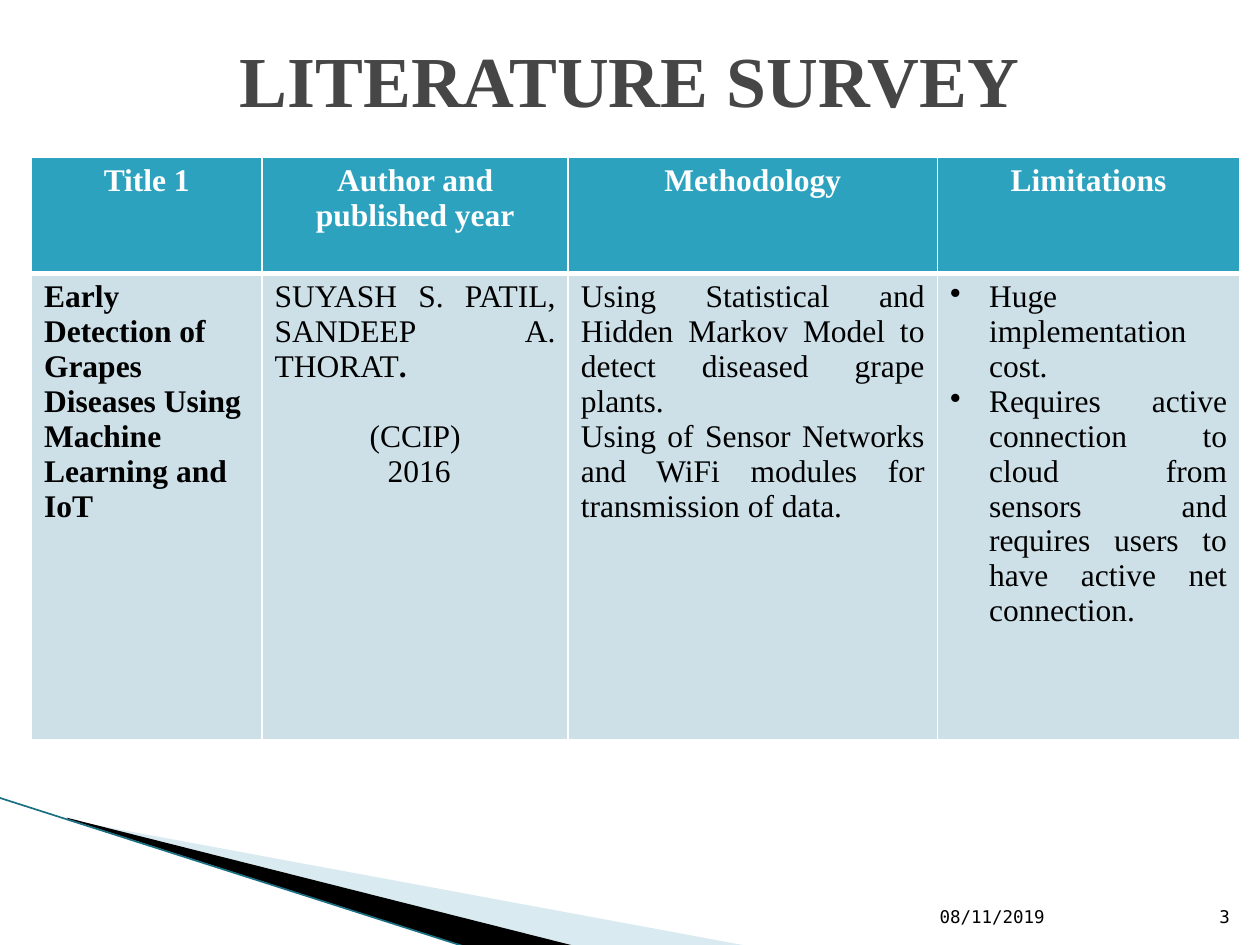
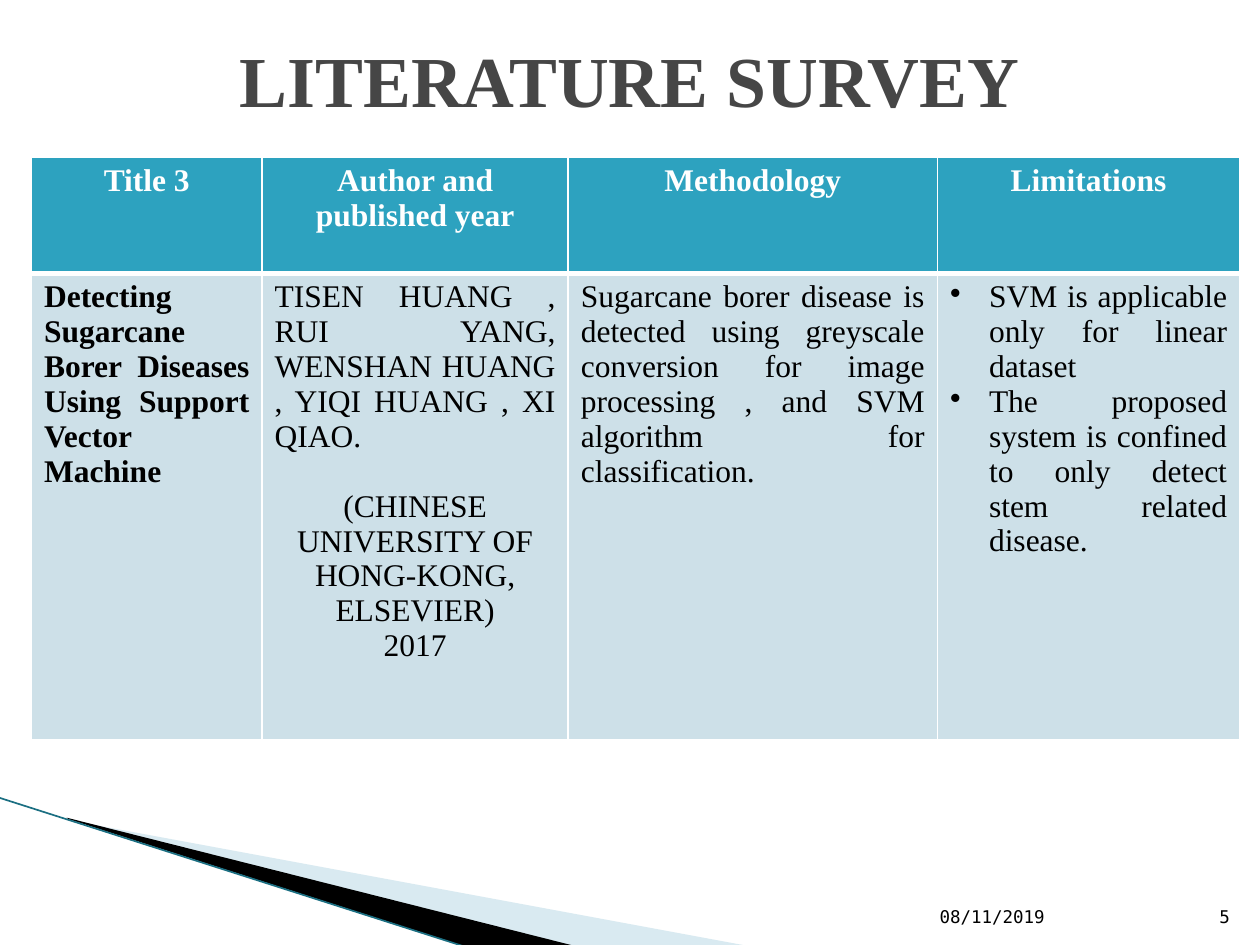
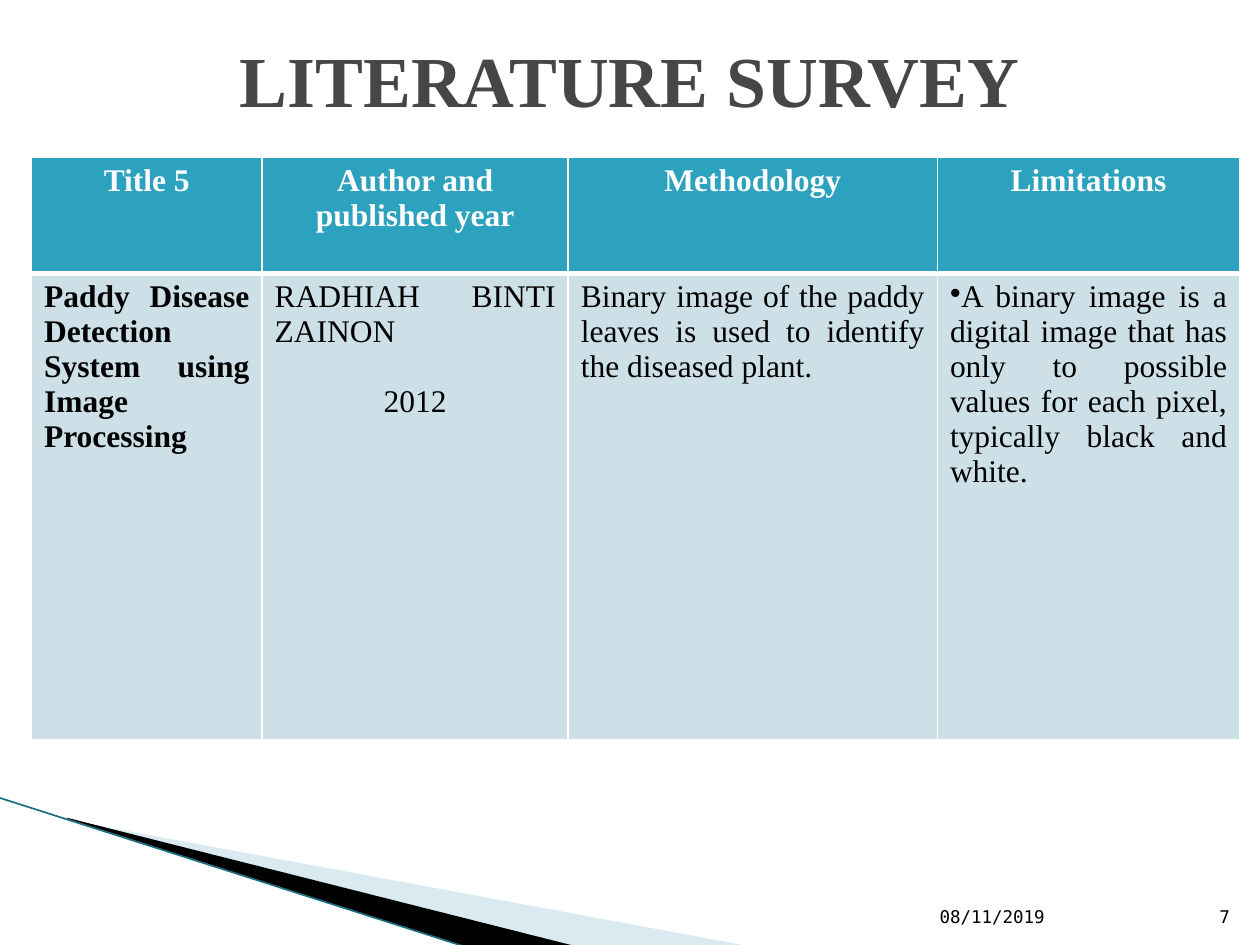
import pptx
import pptx.dml.color
import pptx.enum.shapes
import pptx.enum.text
import pptx.oxml.ns
import pptx.util
from lxml import etree

Inches, Pt = pptx.util.Inches, pptx.util.Pt
ALIGN = pptx.enum.text.PP_ALIGN
ANCHOR = pptx.enum.text.MSO_ANCHOR
qn = pptx.oxml.ns.qn

# Content: each paragraph is (text, style); a tuple text is (plain, bold)
HEADING = "LITERATURE SURVEY"
DATE = "08/11/2019"
COLUMN_HEADINGS = ["Author and published year", "Methodology", "Limitations"]
PAPERS = [
    {
        "page": "3", "label": "Title 1",
        "cells": [
            [("Early Detection of Grapes Diseases Using", "name left"),
             ("Machine Learning and IoT", "name left")],
            [(("SUYASH S. PATIL, SANDEEP A. THORAT", "."), "body"),
             ("(CCIP)", "venue"), (" 2016", "year")],
            [("Using Statistical and Hidden Markov Model to detect diseased grape plants.", "body"),
             ("Using of Sensor Networks and WiFi modules for transmission of data.", "body")],
            [("Huge implementation cost.", "bullet"),
             ("Requires active connection to cloud from sensors and requires users "
              "to have active net connection.", "bullet")],
        ],
    },
    {
        "page": "5", "label": "Title 3",
        "cells": [
            [("Detecting Sugarcane Borer Diseases Using Support Vector Machine", "name")],
            [("TISEN HUANG , RUI YANG, WENSHAN HUANG , YIQI HUANG , XI QIAO.", "body"),
             ("(CHINESE UNIVERSITY OF HONG-KONG, ELSEVIER)", "venue"), ("2017", "year")],
            [("Sugarcane borer disease is detected using greyscale conversion for image "
              "processing , and SVM algorithm for classification.", "body")],
            [("SVM is applicable only for linear dataset", "bullet"),
             ("The proposed system is confined to only detect stem related disease.", "bullet")],
        ],
    },
    {
        "page": "7", "label": "Title 5",
        "cells": [
            [("Paddy Disease Detection System using Image Processing", "name")],
            [("RADHIAH BINTI ZAINON", "body"), ("2012", "venue")],
            [("Binary image of the paddy leaves is used to identify the diseased plant.", "body")],
            [("A binary image is a digital image that has only to possible values for each "
              "pixel, typically black and white.", "tight bullet")],
        ],
    },
]

# Shared look
WHITE, BLACK, GREY = "FFFFFF", "000000", "464646"
HEADER_FILL, BODY_FILL = "2DA2BF", "CDE0E8"
PALE_BAND, EDGE = "A0CBDC", "1B6F82"
SERIF, MONO = "Times New Roman", "DejaVu Sans Mono"

CELL_FONT = {"name": SERIF, "size": Pt(18), "bold": False, "color": BLACK}
NAME_FONT = CELL_FONT | {"bold": True}
STYLES = {
    "heading": {"font": {"name": SERIF, "size": Pt(41), "bold": True, "color": GREY},
                "paragraph": {"alignment": ALIGN.CENTER}},
    "date": {"font": {"name": MONO, "size": Pt(10), "color": BLACK},
             "paragraph": {"alignment": ALIGN.LEFT}},
    "page": {"font": {"name": MONO, "size": Pt(10), "color": BLACK},
             "paragraph": {"alignment": ALIGN.RIGHT}},
    "column": {"font": NAME_FONT | {"color": WHITE}, "paragraph": {"alignment": ALIGN.CENTER}},
    "name": {"font": NAME_FONT, "paragraph": {"alignment": ALIGN.JUSTIFY}},
    "name left": {"font": NAME_FONT, "paragraph": {"alignment": ALIGN.LEFT}},
    "body": {"font": CELL_FONT, "paragraph": {"alignment": ALIGN.JUSTIFY}},
    "venue": {"font": CELL_FONT,
              "paragraph": {"alignment": ALIGN.CENTER, "space_before": Pt(20)}},
    "year": {"font": CELL_FONT, "paragraph": {"alignment": ALIGN.CENTER}},
    "bullet": {"font": CELL_FONT, "paragraph": {"alignment": ALIGN.JUSTIFY}, "hang": 0.31},
    "tight bullet": {"font": CELL_FONT, "paragraph": {"alignment": ALIGN.JUSTIFY}, "hang": 0},
}

# Places, in inches
HEADING_AT = (0.5, 0, 9, 1.25)
DATE_AT = (7.36, 7.01, 2.1, 0.4)
PAGE_AT = (9.46, 7.01, 0.4, 0.4)
TABLE_LEFT, TABLE_TOP = 0.25, 1.25
COLUMN_WIDTHS = [1.83, 2.43, 2.93, 2.4]
ROW_HEIGHTS = [0.92, 3.7]
BANDS = [  # outline, colour, opacity in percent
    ([(0.55, 6.51), (5.95, 7.51), (4.56, 7.51), (0.55, 6.5)], PALE_BAND, 40),
    ([(0.53, 6.49), (4.57, 7.51), (3.72, 7.52), (0.54, 6.5)], BLACK, 100),
]
EDGE_LINE = (-0.01, 6.33, 3.71, 7.52)


def rgb(color):
    return pptx.dml.color.RGBColor.from_string(color)


def inches(values):
    return [Inches(value) for value in values]


def fill_solid(target, color):
    target.fill.solid()
    target.fill.fore_color.rgb = rgb(color)


def write(frame, paragraphs):
    for index, (text, style_name) in enumerate(paragraphs):
        style = STYLES[style_name]
        paragraph = frame.paragraphs[0] if index == 0 else frame.add_paragraph()
        if "hang" in style:
            properties = paragraph._p.get_or_add_pPr()
            properties.set("marL", str(Inches(style["hang"])))
            properties.set("indent", str(-Inches(style["hang"])))
            etree.SubElement(properties, qn("a:buChar"), char="•")
        for key, value in style["paragraph"].items():
            setattr(paragraph, key, value)
        for part, run_text in enumerate(text if isinstance(text, tuple) else (text,)):
            run = paragraph.add_run()
            run.text = run_text
            for key, value in style["font"].items():
                if key == "color":
                    run.font.color.rgb = rgb(value)
                else:
                    setattr(run.font, key, value)
            if part == 1:
                run.font.bold = True


def add_text(slide, place, text, style_name, anchor):
    frame = slide.shapes.add_textbox(*inches(place)).text_frame
    frame.word_wrap = True
    frame.vertical_anchor = anchor
    write(frame, [(text, style_name)])


def add_bands(slide):
    for outline, color, opacity in BANDS:
        start, *rest = [inches(point) for point in outline]
        builder = slide.shapes.build_freeform(*start)
        builder.add_line_segments(rest)
        band = builder.convert_to_shape()
        band.shadow.inherit = False
        band.line.fill.background()
        fill_solid(band, color)
        if opacity < 100:
            tint = band._element.spPr.find(".//" + qn("a:srgbClr"))
            etree.SubElement(tint, qn("a:alpha"), val=str(opacity * 1000))
    edge = slide.shapes.add_connector(
        pptx.enum.shapes.MSO_CONNECTOR.STRAIGHT, *inches(EDGE_LINE))
    edge.line.color.rgb = rgb(EDGE)
    edge.line.width = Pt(0.95)
    etree.SubElement(edge._element.spPr, qn("a:effectLst"))


def set_borders(cell, widths):
    properties = cell._tc.get_or_add_tcPr()
    for side, width in widths.items():
        border = etree.SubElement(properties, qn("a:ln" + side), w=str(Pt(width)))
        solid = etree.SubElement(border, qn("a:solidFill"))
        etree.SubElement(solid, qn("a:srgbClr"), val=WHITE)


def add_survey_table(slide, paper):
    column_row = [[(text, "column")] for text in [paper["label"], *COLUMN_HEADINGS]]
    rows = [  # cells, fill, border widths
        (column_row, HEADER_FILL, {"L": 1, "R": 1, "T": 1, "B": 3}),
        (paper["cells"], BODY_FILL, {"L": 1, "R": 1, "T": 3, "B": 1}),
    ]
    size = (sum(COLUMN_WIDTHS), sum(ROW_HEIGHTS))
    survey = slide.shapes.add_table(
        len(rows), len(COLUMN_WIDTHS), *inches((TABLE_LEFT, TABLE_TOP, *size))).table
    for column, width in zip(survey.columns, COLUMN_WIDTHS):
        column.width = Inches(width)
    for row, height, (contents, color, widths) in zip(survey.rows, ROW_HEIGHTS, rows):
        row.height = Inches(height)
        for cell, paragraphs in zip(row.cells, contents):
            set_borders(cell, widths)
            fill_solid(cell, color)
            write(cell.text_frame, paragraphs)


def main():
    deck = pptx.Presentation()
    deck.slide_width, deck.slide_height = inches((10, 7.5))
    for paper in PAPERS:
        slide = deck.slides.add_slide(deck.slide_layouts[6])
        add_bands(slide)
        add_survey_table(slide, paper)
        add_text(slide, PAGE_AT, paper["page"], "page", ANCHOR.BOTTOM)
        add_text(slide, DATE_AT, DATE, "date", ANCHOR.BOTTOM)
        add_text(slide, HEADING_AT, HEADING, "heading", ANCHOR.MIDDLE)
    deck.save("out.pptx")


if __name__ == "__main__":
    main()
